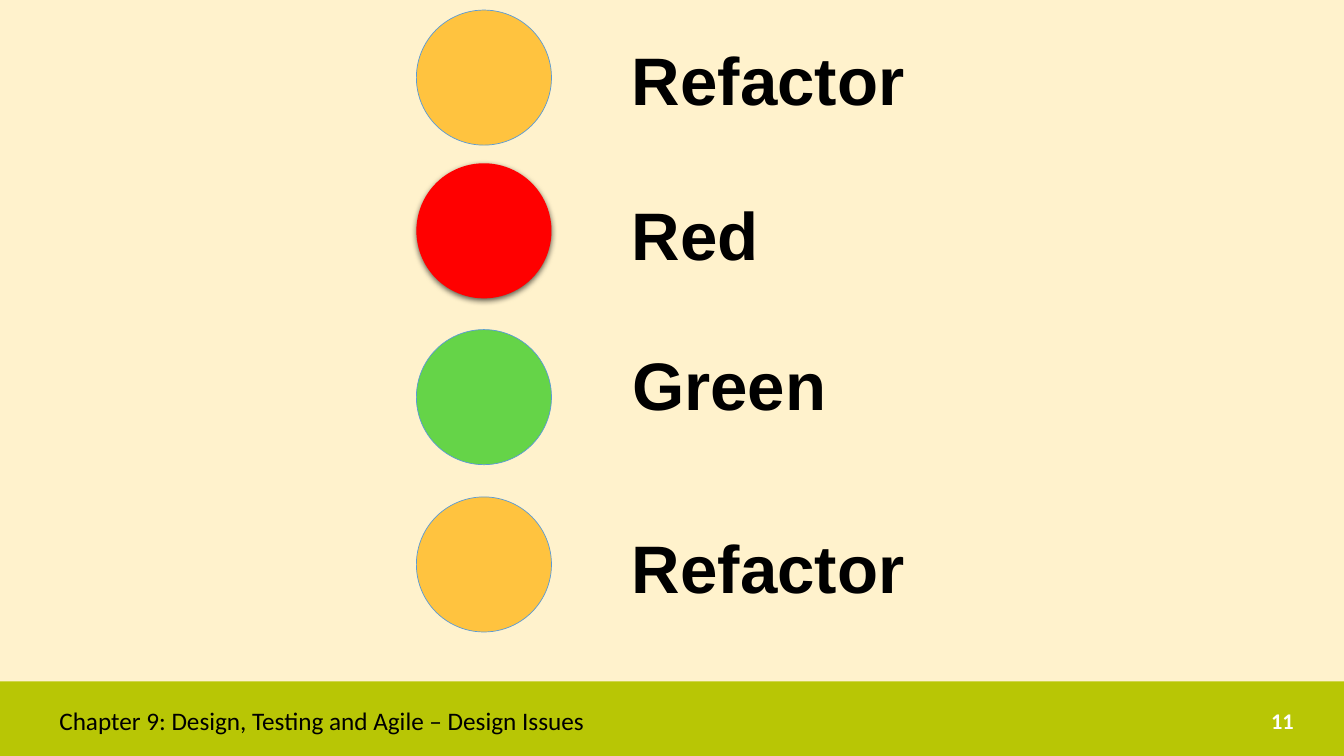
from dataclasses import dataclass
from typing import Optional

import pptx
import pptx.dml.color
import pptx.enum.shapes
import pptx.enum.text
import pptx.oxml
import pptx.oxml.ns
import pptx.util
from pptx.dml.color import RGBColor
from pptx.util import Inches

CREAM = RGBColor(0xFF, 0xF2, 0xCC)
OLIVE = RGBColor(0xB8, 0xC6, 0x05)
RED = RGBColor(0xFF, 0x00, 0x00)
GREEN = RGBColor(0x65, 0xD4, 0x48)
AMBER = RGBColor(0xFF, 0xC3, 0x3F)
OUTLINE_BLUE = RGBColor(0x5B, 0x9B, 0xD5)
BLACK = RGBColor(0x00, 0x00, 0x00)
WHITE = RGBColor(0xFF, 0xFF, 0xFF)

LIGHT_LEFT, LIGHT_SIZE = 4.13, 1.34
LABEL_LEFT, LABEL_HEIGHT = 6.17, 0.91
FOOTER_TOP, FOOTER_HEIGHT = 6.95, 0.4

GLOW_SHADOW = (
    f'<a:effectLst {pptx.oxml.ns.nsdecls("a")}>'
    '<a:outerShdw blurRad="57150" dist="19050" dir="5400000" algn="ctr" rotWithShape="0">'
    '<a:srgbClr val="000000"><a:alpha val="63000"/></a:srgbClr>'
    "</a:outerShdw></a:effectLst>"
)


@dataclass(frozen=True)
class Stage:
    """One traffic light and the label beside it."""

    name: str
    color: RGBColor
    light_top: float
    label_top: float
    label_width: float
    outline: Optional[RGBColor] = OUTLINE_BLUE


@dataclass(frozen=True)
class TextStyle:
    font: str
    size: int
    color: RGBColor
    bold: bool = False
    alignment: pptx.enum.text.PP_ALIGN = pptx.enum.text.PP_ALIGN.LEFT
    wrap: bool = True


STAGES = [
    Stage("Refactor", AMBER, 0.1, 0.33, 2.93),
    Stage("Red", RED, 1.62, 1.86, 1.47, outline=None),
    Stage("Green", GREEN, 3.27, 3.35, 2.15),
    Stage("Refactor", AMBER, 4.93, 5.17, 2.93),
]
LABEL_STYLE = TextStyle("Arial", 48, BLACK, bold=True, wrap=False)
CHAPTER_STYLE = TextStyle("Calibri", 18, BLACK)
NUMBER_STYLE = TextStyle("Calibri", 16, WHITE, bold=True,
                         alignment=pptx.enum.text.PP_ALIGN.RIGHT)


def add_text(slide: pptx.slide.Slide, text: str, left: float, top: float,
             width: float, height: float, style: TextStyle) -> None:
    box = slide.shapes.add_textbox(Inches(left), Inches(top), Inches(width), Inches(height))
    frame = box.text_frame
    frame.word_wrap = style.wrap
    frame.vertical_anchor = pptx.enum.text.MSO_ANCHOR.MIDDLE
    paragraph = frame.paragraphs[0]
    paragraph.text = text
    paragraph.alignment = style.alignment
    paragraph.font.name = style.font
    paragraph.font.size = pptx.util.Pt(style.size)
    paragraph.font.bold = style.bold
    paragraph.font.color.rgb = style.color


def add_filled_shape(slide: pptx.slide.Slide, kind: pptx.enum.shapes.MSO_SHAPE,
                     left: float, top: float, width: float, height: float,
                     color: RGBColor, outline: Optional[RGBColor] = None,
                     ) -> pptx.shapes.autoshape.Shape:
    shape = slide.shapes.add_shape(
        kind, Inches(left), Inches(top), Inches(width), Inches(height))
    shape.shadow.inherit = False
    shape.fill.solid()
    shape.fill.fore_color.rgb = color
    if outline is None:
        shape.line.fill.background()
    else:
        shape.line.color.rgb = outline
        shape.line.width = pptx.util.Pt(0.5)
    return shape


def add_stage(slide: pptx.slide.Slide, stage: Stage) -> None:
    """Draw a light with its label; a light without outline casts a shadow."""
    light = add_filled_shape(
        slide, pptx.enum.shapes.MSO_SHAPE.OVAL, LIGHT_LEFT, stage.light_top,
        LIGHT_SIZE, LIGHT_SIZE, stage.color, stage.outline)
    if stage.outline is None:
        properties = light.element.spPr
        properties.replace(properties.find(pptx.oxml.ns.qn("a:effectLst")),
                           pptx.oxml.parse_xml(GLOW_SHADOW))
    add_text(slide, stage.name, LABEL_LEFT, stage.label_top,
             stage.label_width, LABEL_HEIGHT, LABEL_STYLE)


def add_footer(slide: pptx.slide.Slide) -> None:
    add_filled_shape(slide, pptx.enum.shapes.MSO_SHAPE.RECTANGLE,
                     0, 6.76, 13.33, 0.74, OLIVE)
    add_text(slide, "Chapter 9: Design, Testing and Agile – Design Issues",
             0.49, FOOTER_TOP, 6.19, FOOTER_HEIGHT, CHAPTER_STYLE)
    add_text(slide, "11", 9.42, FOOTER_TOP, 3.51, FOOTER_HEIGHT, NUMBER_STYLE)


def main() -> None:
    presentation = pptx.Presentation()
    presentation.slide_width = Inches(13.33)
    presentation.slide_height = Inches(7.5)
    slide = presentation.slides.add_slide(presentation.slide_layouts[6])
    slide.background.fill.solid()
    slide.background.fill.fore_color.rgb = CREAM
    add_footer(slide)
    for stage in STAGES:
        add_stage(slide, stage)
    presentation.save("out.pptx")


if __name__ == "__main__":
    main()
